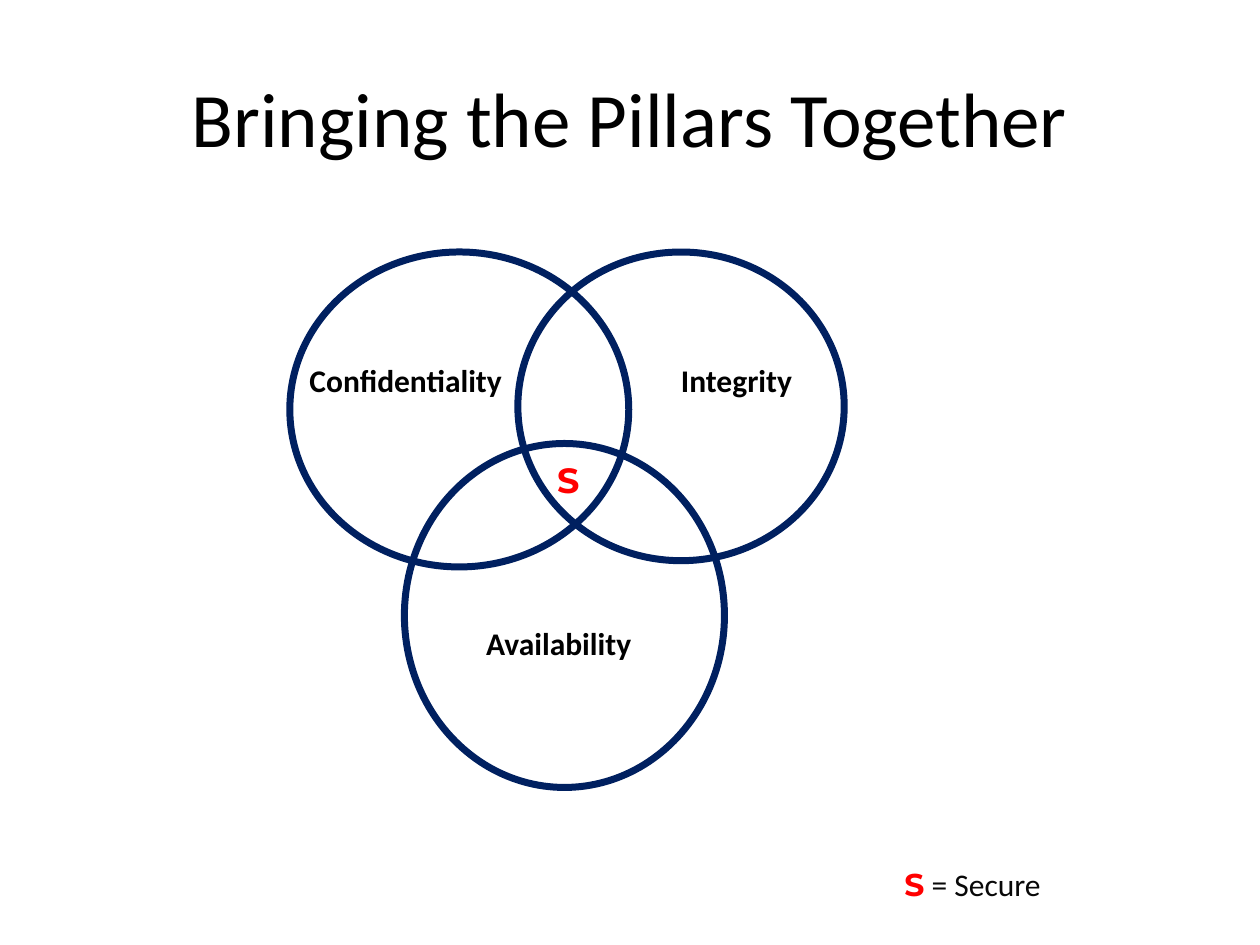
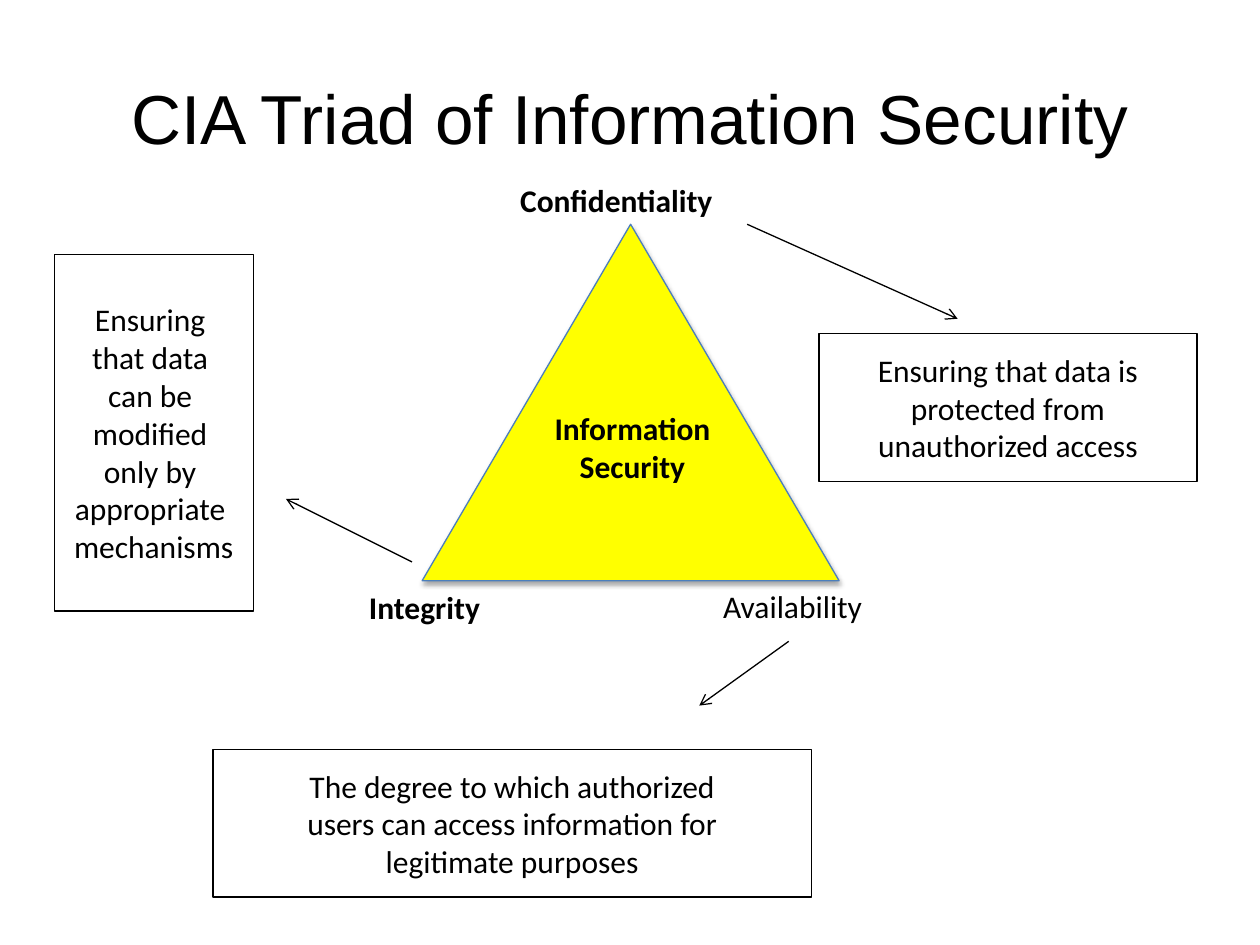
from dataclasses import dataclass

from lxml import etree
from pptx import Presentation
from pptx.dml.color import RGBColor
from pptx.enum.shapes import MSO_CONNECTOR, MSO_SHAPE
from pptx.enum.text import MSO_ANCHOR, MSO_AUTO_SIZE, PP_ALIGN
from pptx.oxml.ns import qn
from pptx.util import Inches, Pt

ELLIPSE, RECTANGLE, TRIANGLE = MSO_SHAPE.OVAL, MSO_SHAPE.RECTANGLE, MSO_SHAPE.ISOSCELES_TRIANGLE
STRAIGHT = MSO_CONNECTOR.STRAIGHT
LEFT, CENTER = PP_ALIGN.LEFT, PP_ALIGN.CENTER
MIDDLE, TOP = MSO_ANCHOR.MIDDLE, MSO_ANCHOR.TOP
FIXED_SIZE, GROW = MSO_AUTO_SIZE.NONE, MSO_AUTO_SIZE.SHAPE_TO_FIT_TEXT

BLACK, NEAR_BLACK, RED = "000000", "080808", "FF0000"
NAVY, YELLOW, BLUE = "002060", "FFFF00", "4B7EBC"
BODY_FONT, TITLE_FONT, MARK_FONT = "Calibri", "Arial", "Montserrat"
TITLE_ONLY_LAYOUT = 5


@dataclass(frozen=True)
class Box:
    left: float
    top: float
    width: float
    height: float

    def lengths(self) -> list:
        return [Inches(n) for n in (self.left, self.top, self.width, self.height)]


@dataclass(frozen=True)
class Span:
    text: str
    bold: bool = False
    size: float = 18
    font: str = BODY_FONT
    color: str = BLACK


@dataclass(frozen=True)
class Label:
    box: Box
    lines: list[list[Span]]
    align: PP_ALIGN = LEFT
    wrap: bool = False
    spacing: float = 1.0


@dataclass(frozen=True)
class Definition:
    box: Box
    lines: list[str]


@dataclass(frozen=True)
class Arrow:
    start: tuple[float, float]
    end: tuple[float, float]


TITLE_BOX = Box(0.5, 0.3, 9, 1.25)

# Venn diagram
CIRCLES = [Box(2.3, 2, 2.69, 2.5), Box(4.11, 2, 2.59, 2.45), Box(3.21, 3.52, 2.54, 2.73)]
PILLAR_LABELS = [
    Label(Box(2.31, 2.86, 1.82, 0.36), [[Span("Confidentiality", True)]], CENTER, True, 0.85),
    Label(Box(5.3, 2.86, 1.09, 0.36), [[Span("Integrity", True)]], CENTER, spacing=0.85),
    Label(Box(3.76, 4.95, 1.36, 0.36), [[Span("Availability", True)]], spacing=0.85),
    Label(Box(4.25, 3.59, 0.52, 0.44), [[Span("S", True, 20, MARK_FONT, RED)]], CENTER, True),
    Label(Box(7.08, 6.82, 2.92, 0.4),
          [[Span("S", True, font=MARK_FONT, color=RED), Span(" = Secure", color=NEAR_BLACK)]],
          wrap=True),
]

# Triad diagram
TRIANGLE_BOX = Box(3.35, 1.78, 3.31, 2.83)
DEFINITIONS = [
    Definition(Box(6.5, 2.65, 3, 1.17),
               ["Ensuring that data is", " protected from ", "unauthorized access"]),
    Definition(Box(0.43, 2.02, 1.58, 2.83),
               ["Ensuring ", "that data ", "can be ", "modified ", "only by ",
                "appropriate ", "mechanisms"]),
    Definition(Box(1.69, 5.95, 4.75, 1.17),
               ["The degree to which authorized", "users can access information for",
                "legitimate purposes"]),
]
ARROWS = [
    Arrow((5.93, 1.78), (7.6, 2.53)),
    Arrow((3.27, 4.46), (2.27, 3.96)),
    Arrow((6.26, 5.09), (5.55, 5.6)),
]
TRIAD_LABELS = [
    Label(Box(4.03, 1.39, 1.76, 0.4), [[Span("Confidentiality", True)]]),
    Label(Box(5.64, 4.61, 1.32, 0.4), [[Span("Availability")]]),
    Label(Box(2.83, 4.62, 1.1, 0.4), [[Span("Integrity", True)]]),
    Label(Box(4.29, 3.2, 1.46, 0.71),
          [[Span("Information ", True)], [Span("Security", True)]], CENTER),
]


def rgb(color: str) -> RGBColor:
    return RGBColor.from_string(color)


def write_text(shape, lines: list[list[Span]], align: PP_ALIGN, wrap: bool = False,
               spacing: float = 1.0, anchor: MSO_ANCHOR = TOP,
               auto_size: MSO_AUTO_SIZE = FIXED_SIZE) -> None:
    frame = shape.text_frame
    frame.word_wrap = wrap
    frame.vertical_anchor = anchor
    frame.auto_size = auto_size
    for index, spans in enumerate(lines):
        paragraph = frame.add_paragraph() if index else frame.paragraphs[0]
        paragraph.alignment = align
        paragraph.line_spacing = spacing
        for span in spans:
            run = paragraph.add_run()
            run.text = span.text
            run.font.name = span.font
            run.font.size = Pt(span.size)
            run.font.bold = span.bold
            run.font.color.rgb = rgb(span.color)


def add_titled_slide(presentation, title: Span):
    slide = presentation.slides.add_slide(presentation.slide_layouts[TITLE_ONLY_LAYOUT])
    shape = slide.shapes.title
    shape.left, shape.top, shape.width, shape.height = TITLE_BOX.lengths()
    write_text(shape, [[title]], CENTER, wrap=True, anchor=MIDDLE)
    return slide


def add_outline(slide, kind: MSO_SHAPE, box: Box, line: str, weight: float,
                fill: str | None = None):
    shape = slide.shapes.add_shape(kind, *box.lengths())
    shape.shadow.inherit = False
    if fill:
        shape.fill.solid()
        shape.fill.fore_color.rgb = rgb(fill)
    else:
        shape.fill.background()
    shape.line.color.rgb = rgb(line)
    shape.line.width = Pt(weight)
    return shape


def add_label(slide, label: Label) -> None:
    shape = slide.shapes.add_textbox(*label.box.lengths())
    write_text(shape, label.lines, label.align, label.wrap, label.spacing, auto_size=GROW)


def add_definition(slide, definition: Definition) -> None:
    shape = add_outline(slide, RECTANGLE, definition.box, BLACK, 0.75)
    write_text(shape, [[Span(line)] for line in definition.lines], CENTER, anchor=MIDDLE)


def add_arrow(slide, arrow: Arrow) -> None:
    points = [Inches(n) for n in (*arrow.start, *arrow.end)]
    connector = slide.shapes.add_connector(STRAIGHT, *points)
    connector.line.color.rgb = rgb(BLACK)
    connector.line.width = Pt(0.75)
    properties = connector.element.spPr
    etree.SubElement(properties.find(qn("a:ln")), qn("a:tailEnd"), type="arrow")
    etree.SubElement(properties, qn("a:effectLst"))


def add_soft_shadow(shape) -> None:
    effects = shape.element.spPr.find(qn("a:effectLst"))
    shadow = etree.SubElement(effects, qn("a:outerShdw"), blurRad=str(Pt(3.1)),
                              dist=str(Pt(1.8)), dir="5400000", rotWithShape="0")
    color = etree.SubElement(shadow, qn("a:srgbClr"), val=BLACK)
    etree.SubElement(color, qn("a:alpha"), val="35000")


def build_venn_slide(presentation) -> None:
    slide = add_titled_slide(presentation, Span("Bringing the Pillars Together", size=44))
    for circle in CIRCLES:
        add_outline(slide, ELLIPSE, circle, NAVY, 4)
    for label in PILLAR_LABELS:
        add_label(slide, label)


def build_triad_slide(presentation) -> None:
    title = Span("CIA Triad of Information Security", size=39.6, font=TITLE_FONT)
    slide = add_titled_slide(presentation, title)
    add_soft_shadow(add_outline(slide, TRIANGLE, TRIANGLE_BOX, BLUE, 0.75, YELLOW))
    for definition in DEFINITIONS:
        add_definition(slide, definition)
    for arrow in ARROWS:
        add_arrow(slide, arrow)
    for label in TRIAD_LABELS:
        add_label(slide, label)


def main() -> None:
    presentation = Presentation()
    presentation.slide_width = Inches(10)
    presentation.slide_height = Inches(7.5)
    build_venn_slide(presentation)
    build_triad_slide(presentation)
    presentation.save("out.pptx")


if __name__ == "__main__":
    main()
